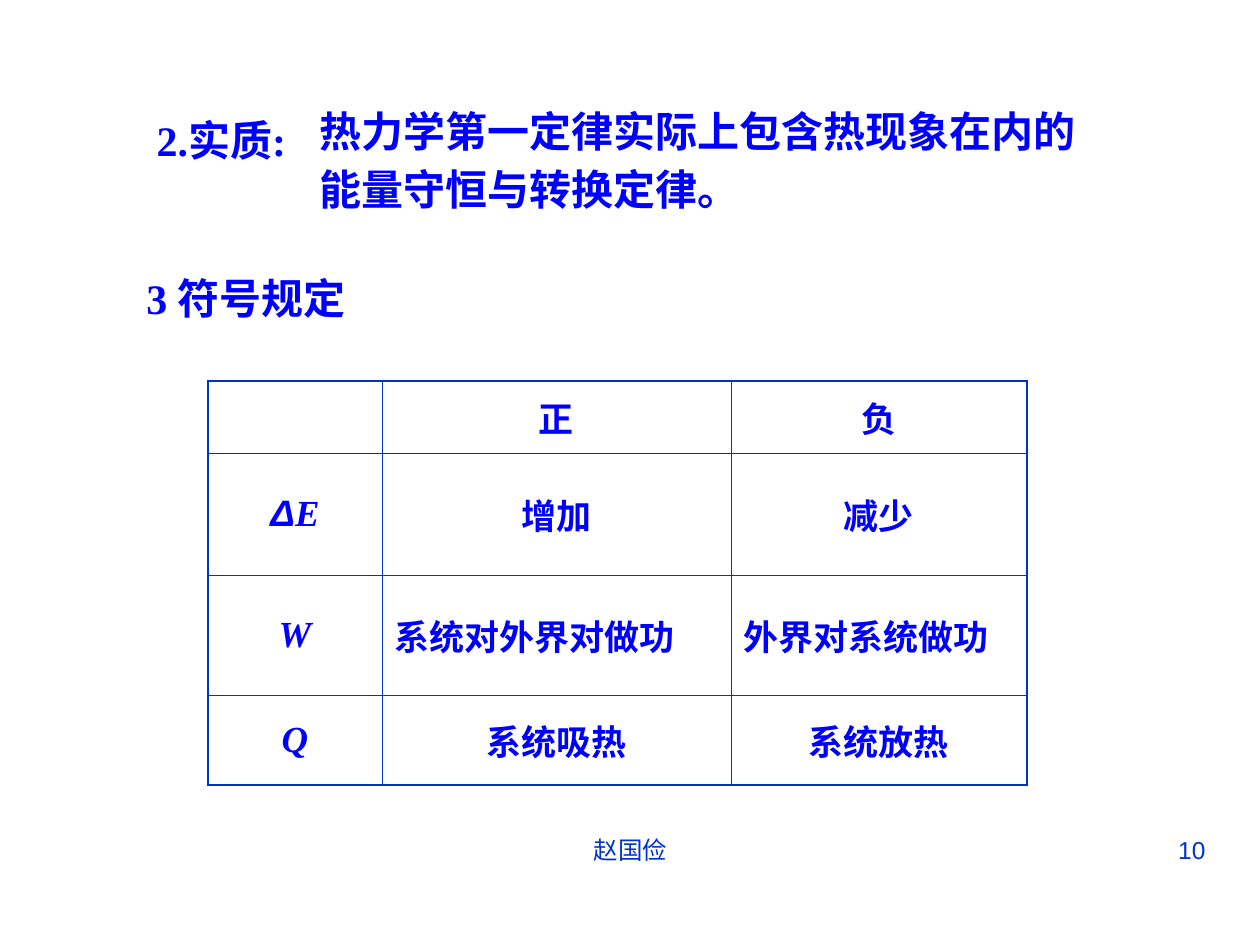
from lxml.etree import SubElement
from pptx import Presentation
from pptx.dml.color import RGBColor
from pptx.enum.text import MSO_ANCHOR as Anchor, PP_ALIGN as Align
from pptx.oxml import parse_xml
from pptx.oxml.ns import nsdecls, qn
from pptx.util import Emu, Pt

PIXEL = 914400 // 126
BLUE = RGBColor(0x00, 0x00, 0xFF)
NAVY = RGBColor(0x00, 0x33, 0xCC)
SERIF, SANS, HAN = "Times New Roman", "Arial", "Noto Sans CJK SC"
THIN, THICK = Pt(0.45), Pt(1.08)


def px(length):
    return Emu(length * PIXEL)


def write(paragraph, text, size=24, font=SERIF, color=BLUE, bold=True, italic=False,
          align=Align.LEFT, before=0, spacing=1.0):
    paragraph.alignment = align
    paragraph.space_before = Pt(before)
    paragraph.line_spacing = spacing
    run = paragraph.add_run()
    run.text = text
    run.font.size = Pt(size)
    run.font.name = font
    run.font.bold = bold
    run.font.italic = italic
    run.font.color.rgb = color
    SubElement(run.font._element, qn("a:ea")).set("typeface", HAN)


class SlideBuilder:
    def __init__(self, slide):
        self.slide = slide

    def text(self, left, top, width, height, lines, **style):
        shape = self.slide.shapes.add_textbox(*map(px, (left, top, width, height)))
        frame = shape.text_frame
        frame.word_wrap = True
        for index, line in enumerate(lines):
            paragraph = frame.add_paragraph() if index else frame.paragraphs[0]
            write(paragraph, line, **style)

    def table(self, left, top, widths, heights, rows):
        frame = self.slide.shapes.add_table(
            len(heights), len(widths), px(left), px(top),
            px(sum(widths)), px(sum(heights)))
        table = frame.table
        for column, width in zip(table.columns, widths):
            column.width = px(width)
        for row, height in zip(table.rows, heights):
            row.height = px(height)
        last_row, last_column = len(heights) - 1, len(widths) - 1
        for r, row in enumerate(rows):
            for c, runs in enumerate(row):
                cell = table.cell(r, c)
                cell.fill.background()
                cell.vertical_anchor = Anchor.MIDDLE
                for text, style in runs:
                    write(cell.text_frame.paragraphs[0], text, **style)
                self.borders(cell, L=c == 0, R=c == last_column,
                             T=r == 0, B=r == last_row)

    def borders(self, cell, **outer):
        properties = cell._tc.get_or_add_tcPr()
        for index, (side, thick) in enumerate(outer.items()):
            properties.insert(index, parse_xml(
                f'<a:ln{side} {nsdecls("a")} w="{THICK if thick else THIN}">'
                f'<a:solidFill><a:srgbClr val="{NAVY}"/></a:solidFill></a:ln{side}>'))


presentation = Presentation()
presentation.slide_width, presentation.slide_height = px(1260), px(945)
builder = SlideBuilder(presentation.slides.add_slide(presentation.slide_layouts[6]))

footer = dict(size=14, font=SANS, color=NAVY, bold=False)
builder.text(431, 829, 399, 66, ["赵国俭"], align=Align.CENTER, **footer)
builder.text(903, 829, 315, 66, ["10"], align=Align.RIGHT, **footer)
builder.text(134, 266, 251, 63, ["3 符号规定"], before=15)

left_aligned = dict(size=20, font=SANS, before=5)
label = dict(left_aligned, align=Align.CENTER)
symbol = dict(size=21, font=SERIF, italic=True, align=Align.CENTER, before=5.2)
delta = dict(symbol, font=SANS)
sign_rules = [
    [[], [("正", label)], [("负", label)]],
    [[("Δ", delta), ("E", symbol)], [("增加", label)], [("减少", label)]],
    [[("W", symbol)], [("系统对外界对做功", left_aligned)],
     [("外界对系统做功", left_aligned)]],
    [[("Q", symbol)], [("系统吸热", label)], [("系统放热", label)]],
]
builder.table(208, 381, [174, 349, 296], [72, 122, 120, 90], sign_rules)

builder.text(307, 92, 857, 129,
             ["热力学第一定律实际上包含热现象在内的", "能量守恒与转换定律。"],
             font=HAN, spacing=1.15)
builder.text(127, 108, 189, 63, ["2.实质:"], align=Align.CENTER, before=15)

presentation.save("out.pptx")
